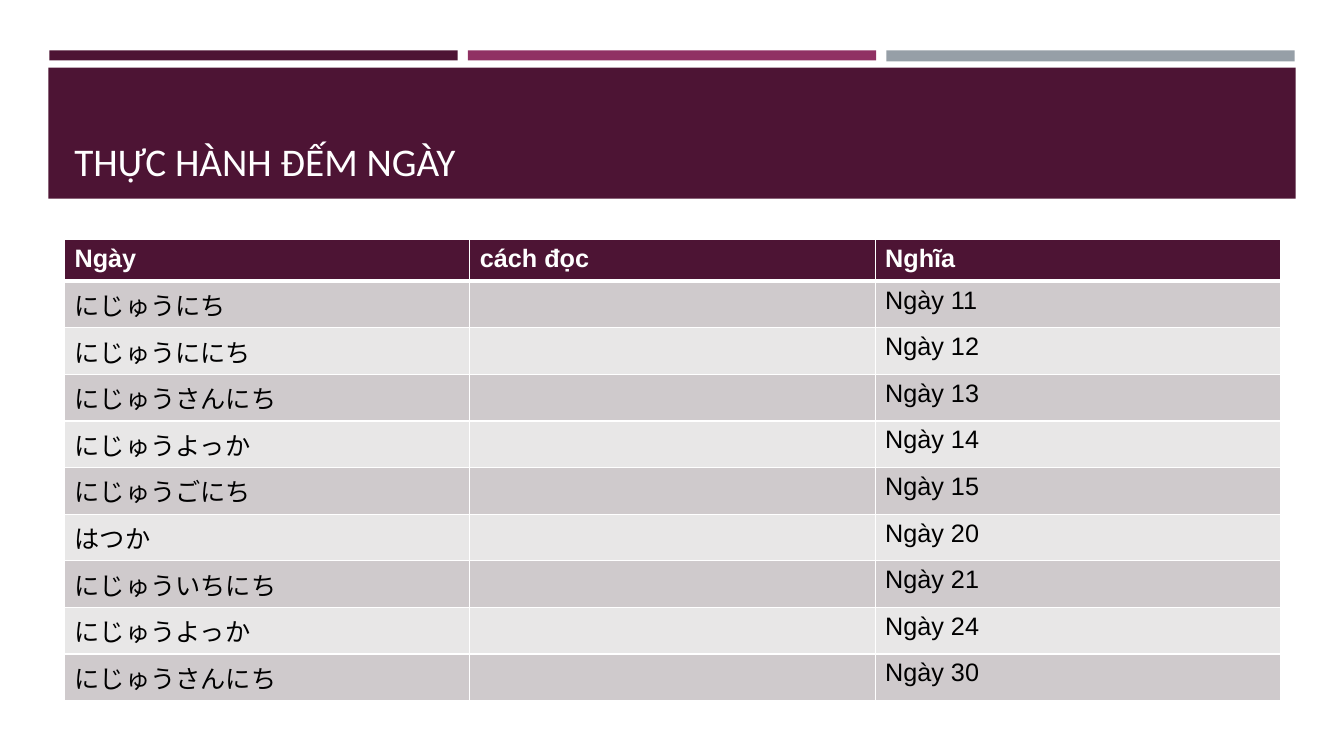
"""Build the day-counting practice slide with its reading table."""
from lxml import etree
from pptx import Presentation
from pptx.dml.color import RGBColor
from pptx.enum.shapes import MSO_SHAPE
from pptx.enum.text import MSO_ANCHOR
from pptx.oxml.ns import qn
from pptx.util import Inches, Pt

RECTANGLE = MSO_SHAPE.RECTANGLE
BOTTOM = MSO_ANCHOR.BOTTOM

PLUM = RGBColor(0x4D, 0x14, 0x34)
MAGENTA = RGBColor(0x90, 0x31, 0x63)
GREY = RGBColor(0x96, 0x9F, 0xA7)
DARK_BAND = RGBColor(0xCF, 0xCA, 0xCC)
LIGHT_BAND = RGBColor(0xE8, 0xE7, 0xE7)
WHITE = RGBColor(0xFF, 0xFF, 0xFF)
BLACK = RGBColor(0, 0, 0)

TITLE = "THỰC HÀNH ĐẾM NGÀY"
HEADINGS = ("Ngày", "cách đọc", "Nghĩa")
DAYS = [
    ("にじゅうにち", "Ngày 11"),
    ("にじゅうににち", "Ngày 12"),
    ("にじゅうさんにち", "Ngày 13"),
    ("にじゅうよっか", "Ngày 14"),
    ("にじゅうごにち", "Ngày 15"),
    ("はつか", "Ngày 20"),
    ("にじゅういちにち", "Ngày 21"),
    ("にじゅうよっか", "Ngày 24"),
    ("にじゅうさんにち", "Ngày 30"),
]
STRIPES = [(PLUM, 0.1), (MAGENTA, 0.1), (GREY, 0.11)]

STRIPE_LEFT, STRIPE_STEP, STRIPE_WIDTH = 0.49, 4.15, 4.05
CONTENT_LEFT, CONTENT_WIDTH = 0.64, 12.06
TABLE_TOP, TABLE_HEIGHT, HEADER_HEIGHT = 2.38, 4.57, 0.41
DAY_HEIGHT = (TABLE_HEIGHT - HEADER_HEIGHT) / len(DAYS)


def add_block(slide, left, top, width, height, color):
    block = slide.shapes.add_shape(
        RECTANGLE, Inches(left), Inches(top), Inches(width), Inches(height))
    block.shadow.inherit = False
    block.fill.solid()
    block.fill.fore_color.rgb = color
    block.line.fill.background()


def add_text(frame, text, font_name, size, color, bold=False):
    run = frame.paragraphs[0].add_run()
    run.text = text
    run.font.name = font_name
    run.font.size = Pt(size)
    run.font.bold = bold
    run.font.color.rgb = color


def set_borders(cell, bottom_width):
    properties = cell._tc.get_or_add_tcPr()
    widths = {"a:lnL": 1, "a:lnR": 1, "a:lnT": 1, "a:lnB": bottom_width}
    for position, (tag, width) in enumerate(widths.items()):
        border = etree.Element(qn(tag), w=str(Pt(width)))
        fill = etree.SubElement(border, qn("a:solidFill"))
        etree.SubElement(fill, qn("a:srgbClr"), val=str(WHITE))
        properties.insert(position, border)


def add_title(slide):
    title = slide.shapes.add_textbox(
        Inches(CONTENT_LEFT), Inches(0.77), Inches(CONTENT_WIDTH), Inches(1.11))
    frame = title.text_frame
    frame.word_wrap = True
    frame.vertical_anchor = BOTTOM
    add_text(frame, TITLE, "Calibri", 28, WHITE)


def add_day_table(slide):
    rows = [HEADINGS] + [(reading, "", meaning) for reading, meaning in DAYS]
    table = slide.shapes.add_table(
        len(rows), len(HEADINGS), Inches(CONTENT_LEFT), Inches(TABLE_TOP),
        Inches(CONTENT_WIDTH), Inches(TABLE_HEIGHT)).table
    for row_index, texts in enumerate(rows):
        is_header = row_index == 0
        table.rows[row_index].height = Inches(
            HEADER_HEIGHT if is_header else DAY_HEIGHT)
        band = DARK_BAND if row_index % 2 else LIGHT_BAND
        for column_index, text in enumerate(texts):
            cell = table.cell(row_index, column_index)
            cell.fill.solid()
            cell.fill.fore_color.rgb = PLUM if is_header else band
            set_borders(cell, 3 if is_header else 1)
            if text:
                add_text(cell.text_frame, text, "Arial", 18,
                         WHITE if is_header else BLACK, is_header)


def main():
    presentation = Presentation()
    presentation.slide_width = Inches(13.33)
    presentation.slide_height = Inches(7.5)
    slide = presentation.slides.add_slide(presentation.slide_layouts[6])
    for index, (color, height) in enumerate(STRIPES):
        add_block(slide, STRIPE_LEFT + index * STRIPE_STEP, 0.5,
                  STRIPE_WIDTH, height, color)
    add_block(slide, 0.48, 0.67, 12.37, 1.3, PLUM)
    add_title(slide)
    add_day_table(slide)
    presentation.save("out.pptx")


if __name__ == "__main__":
    main()
